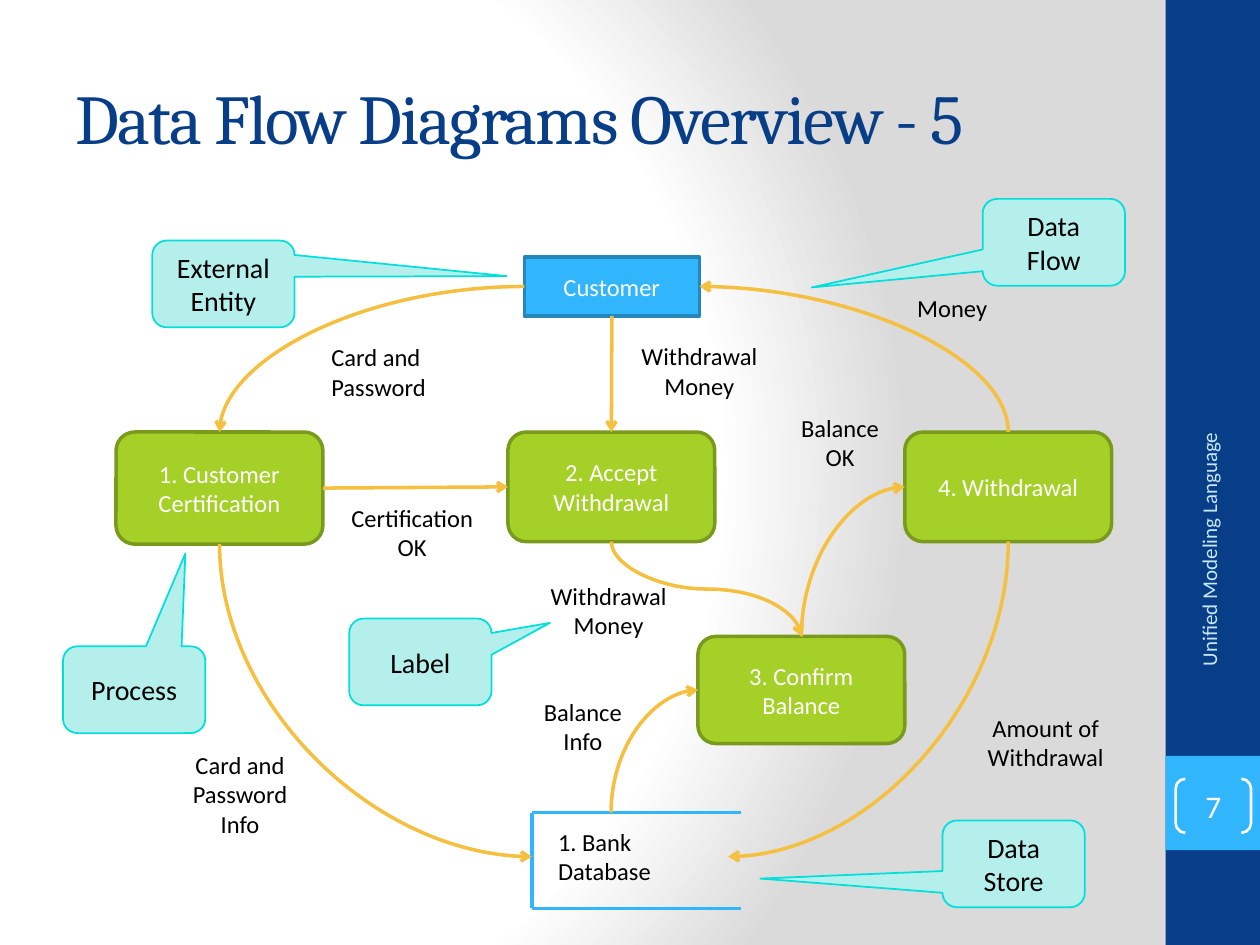
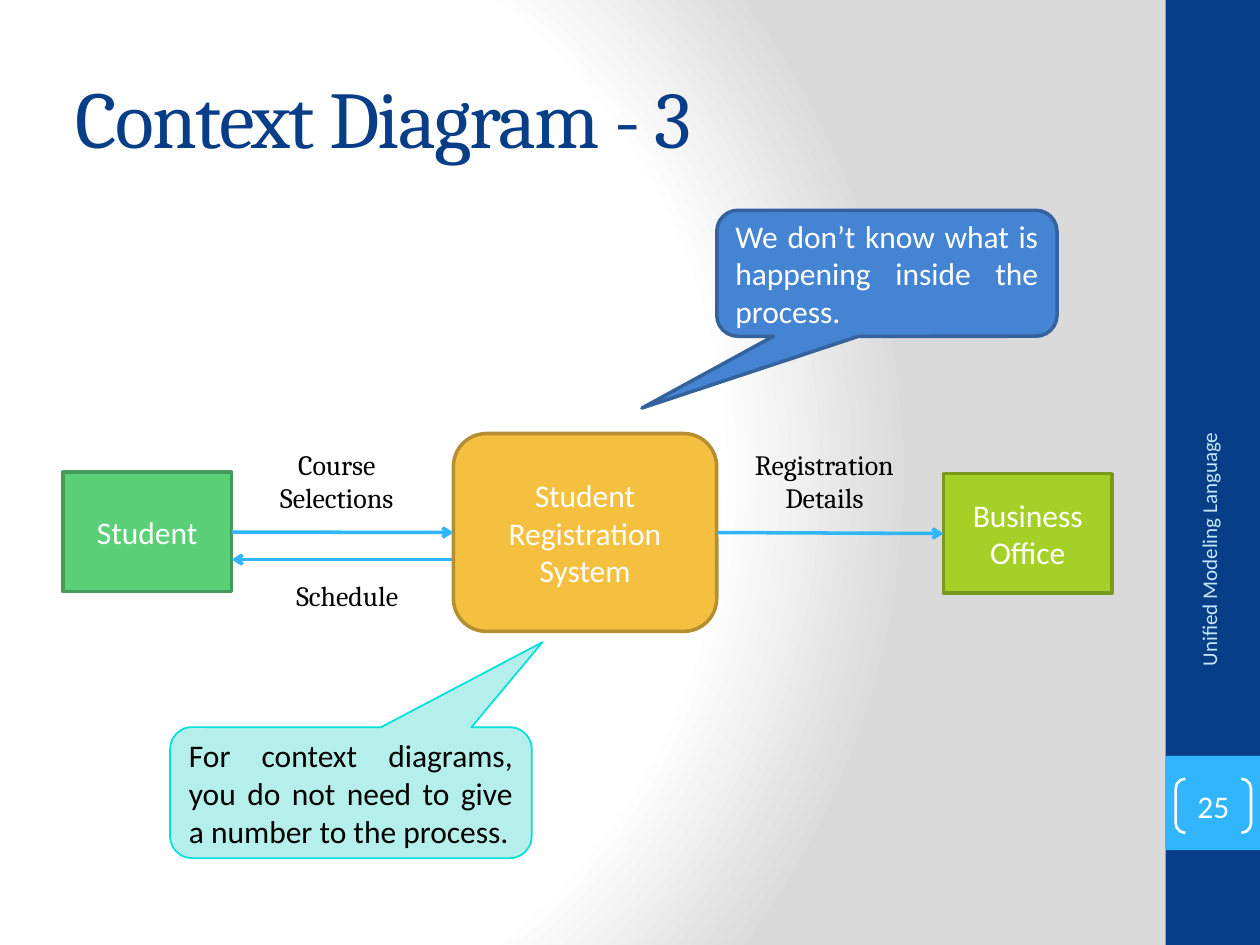
from dataclasses import dataclass

from lxml import etree
from pptx import Presentation
from pptx import util as u
from pptx.dml import color
from pptx.enum import shapes, text
from pptx.oxml import ns, parse_xml

SHAPE = shapes.MSO_SHAPE
CONNECTOR = shapes.MSO_CONNECTOR
ALIGN = text.PP_ALIGN
TOP, LEFT, BOTTOM, RIGHT = range(4)


@dataclass(frozen=True)
class Theme:
    navy: str = "073E87"
    sky: str = "31B6FD"
    sky_edge: str = "2487BB"
    pale: str = "C6E7FC"
    lime: str = "A5D028"
    lime_edge: str = "7A9A1E"
    green: str = "5BD078"
    green_edge: str = "439A59"
    amber: str = "F5C040"
    amber_edge: str = "B58E2F"
    aqua: str = "B4EFEC"
    aqua_edge: str = "00E0DB"
    blue: str = "4584D3"
    blue_edge: str = "33629C"
    white: str = "FFFFFF"
    black: str = "000000"
    gray: str = "DADADA"
    heading: str = "Cambria"
    body: str = "Calibri"
    footer: int = 12
    small: int = 14
    medium: int = 16
    large: int = 18
    long_title: int = 40
    title: int = 46


THEME = Theme()


def rgb(value):
    return color.RGBColor.from_string(value)


def cm(*values):
    return [u.Cm(value) for value in values]


def set_values(target, values):
    for name, value in values.items():
        setattr(target, name, value)


def side(shape, index):
    x = {LEFT: 0, RIGHT: 1}.get(index, 0.5)
    y = {TOP: 0, BOTTOM: 1}.get(index, 0.5)
    return int(shape.left + x * shape.width), int(shape.top + y * shape.height)


class Deck:
    def __init__(self, theme):
        self.theme = theme
        self.presentation = Presentation()
        set_values(self.presentation, {"slide_width": u.Cm(25.4), "slide_height": u.Cm(19.05)})
        self.slide = None

    def new_slide(self, title, title_size, number):
        theme = self.theme
        self.slide = self.presentation.slides.add_slide(self.presentation.slide_layouts[6])
        self.background()
        self.shape(SHAPE.RECTANGLE, (23.5, 0, 1.9, 19.05), fill=theme.navy)
        self.shape(SHAPE.RECTANGLE, (23.5, 15.24, 1.9, 1.9), fill=theme.sky)
        heading = self.label(title, (1.27, 0.76, 21.16, 3.18), title_size, ALIGN.LEFT,
                             theme.heading, theme.navy, middle=True)
        run = heading.text_frame.paragraphs[0].runs[0]
        run.font._element.set("spc", "-100")
        footer = self.label("Unified Modeling Language", (21.08, 11.25, 6.58, 1.02),
                            theme.footer, ALIGN.RIGHT, ink=theme.pale, middle=True)
        footer.rotation = 270
        bracket = self.shape(SHAPE.DOUBLE_BRACKET, (23.7, 15.7, 1.52, 1.09), edge=theme.white,
                             weight=1.5, words=number, size=theme.large, adjustments=[0.179])
        set_values(bracket.text_frame, dict.fromkeys(
            ("margin_left", "margin_top", "margin_right", "margin_bottom"), 0))

    def background(self):
        stops = ((0, self.theme.white), (75, self.theme.white), (100, self.theme.gray))
        stop_xml = "".join(f'<a:gs pos="{position * 1000}"><a:srgbClr val="{shade}"/></a:gs>'
                           for position, shade in stops)
        self.slide._element.cSld.insert(0, parse_xml(
            f'<p:bg {ns.nsdecls("p", "a")}><p:bgPr><a:gradFill rotWithShape="1">'
            f'<a:gsLst>{stop_xml}</a:gsLst><a:path path="circle">'
            '<a:fillToRect l="20000" t="50000" r="100000" b="50000"/></a:path>'
            '</a:gradFill><a:effectLst/></p:bgPr></p:bg>'))

    def set_text(self, shape, words, size, align, font, ink, frame_format):
        set_values(shape.text_frame, {"word_wrap": True, **frame_format})
        paragraph = shape.text_frame.paragraphs[0]
        paragraph.alignment = align
        run = paragraph.add_run()
        run.text = words
        set_values(run.font, {"size": u.Pt(size), "name": font})
        run.font.color.rgb = rgb(ink)

    def shape(self, kind, box, fill=None, edge=None, weight=2, words="", size=THEME.small,
              ink=THEME.white, align=ALIGN.CENTER, adjustments=()):
        shape = self.slide.shapes.add_shape(kind, *cm(*box))
        shape.shadow.inherit = False
        if fill:
            shape.fill.solid()
            shape.fill.fore_color.rgb = rgb(fill)
        else:
            shape.fill.background()
        if edge:
            shape.line.color.rgb = rgb(edge)
            shape.line.width = u.Pt(weight)
        else:
            shape.line.fill.background()
        for index, value in enumerate(adjustments):
            shape.adjustments[index] = value
        if words:
            self.set_text(shape, words, size, align, self.theme.body, ink,
                          {"vertical_anchor": text.MSO_ANCHOR.MIDDLE})
        return shape

    def callout(self, words, box, tip, size=THEME.medium, fill=THEME.aqua, edge=THEME.aqua_edge,
                weight=1, ink=THEME.black, align=ALIGN.CENTER):
        return self.shape(SHAPE.ROUNDED_RECTANGULAR_CALLOUT, box, fill, edge, weight, words,
                          size, ink, align, (*tip, 0.167))

    def label(self, words, box, size=THEME.small, align=ALIGN.CENTER, font=THEME.body,
              ink=THEME.black, middle=False):
        label = self.slide.shapes.add_textbox(*cm(*box))
        frame_format = ({"vertical_anchor": text.MSO_ANCHOR.MIDDLE} if middle
                        else {"auto_size": text.MSO_AUTO_SIZE.SHAPE_TO_FIT_TEXT})
        self.set_text(label, words, size, align, font, ink, frame_format)
        return label

    def finish_line(self, connector, ink, arrow):
        connector.line.color.rgb = rgb(ink)
        connector.line.width = u.Pt(2)
        properties = connector._element.spPr
        if arrow:
            outline = properties.find(ns.qn("a:ln"))
            etree.SubElement(outline, ns.qn("a:tailEnd")).set("type", "arrow")
        etree.SubElement(properties, ns.qn("a:effectLst"))

    def line(self, start, end, ink, arrow=False):
        connector = self.slide.shapes.add_connector(CONNECTOR.STRAIGHT, *cm(*start), *cm(*end))
        self.finish_line(connector, ink, arrow)

    def join(self, first, first_side, second, second_side, ink):
        connector = self.slide.shapes.add_connector(
            CONNECTOR.STRAIGHT, *side(first, first_side), *side(second, second_side))
        connector.begin_connect(first, first_side)
        connector.end_connect(second, second_side)
        self.finish_line(connector, ink, True)

    def curve(self, start, end, vertical=True, preset="curvedConnector2"):
        turn = 0
        if vertical:
            run, rise = end[0] - start[0], end[1] - start[1]
            turn = 90 if (rise < 0) == (run > 0) else 270
            sign = 1 if turn == 90 else -1
            middle_x, middle_y = (start[0] + end[0]) / 2, (start[1] + end[1]) / 2
            half_x, half_y = sign * rise / 2, -sign * run / 2
            start = int(middle_x - half_x), int(middle_y - half_y)
            end = int(middle_x + half_x), int(middle_y + half_y)
        connector = self.slide.shapes.add_connector(CONNECTOR.CURVE, *start, *end)
        properties = connector._element.spPr
        properties.find(ns.qn("a:prstGeom")).set("prst", preset)
        if turn:
            properties.find(ns.qn("a:xfrm")).set("rot", str(turn * 60000))
        self.finish_line(connector, self.theme.amber, True)


def data_flow_slide(deck):
    theme = deck.theme
    deck.new_slide("Data Flow Diagrams Overview - 5", theme.long_title, "7")
    customer = deck.shape(SHAPE.RECTANGLE, (10.57, 5.18, 3.53, 1.19), theme.sky, theme.sky_edge,
                          words="Customer")
    certification, accept, withdrawal, confirm = [
        deck.shape(SHAPE.ROUNDED_RECTANGLE, (left, top, 4.17, height), theme.lime,
                   theme.lime_edge, words=words)
        for words, left, top, height in (
            ("1. Customer Certification", 2.34, 8.71, 2.26),
            ("2. Accept Withdrawal", 10.24, 8.71, 2.21),
            ("4. Withdrawal", 18.24, 8.71, 2.21),
            ("3. Confirm Balance", 14.07, 12.83, 2.16))]

    store_left, store_right, store_top, store_bottom = 10.72, 14.94, 16.38, 18.31
    for y in (store_top, store_bottom):
        deck.line((store_left, y), (store_right, y), theme.sky)
    deck.line((store_left, store_bottom), (store_left, store_top), theme.sky)
    deck.label("1. Bank Database", (11, 16.54, 3.68, 1.45), align=ALIGN.LEFT)

    deck.curve(side(customer, LEFT), side(certification, TOP), vertical=False)
    deck.curve(side(withdrawal, TOP), side(customer, RIGHT))
    deck.curve(side(accept, BOTTOM), side(confirm, TOP), preset="curvedConnector3")
    deck.curve(side(confirm, TOP), side(withdrawal, LEFT))
    deck.curve(side(certification, BOTTOM), cm(store_left, 17.27))
    deck.curve(cm(12.32, store_top), side(confirm, LEFT))
    deck.curve(side(withdrawal, BOTTOM), cm(14.68, 17.27))
    deck.join(certification, RIGHT, accept, LEFT, theme.amber)
    deck.join(customer, BOTTOM, accept, TOP, theme.amber)

    for words, left, top, width, height, align in (
            ("Money", 18.24, 5.79, 2.16, 0.86, ALIGN.LEFT),
            ("Balance OK", 15.65, 8.2, 2.57, 1.45, ALIGN.CENTER),
            ("Certification OK", 6.71, 10.01, 3.2, 1.45, ALIGN.CENTER),
            ("Withdrawal Money", 12.5, 6.76, 3.2, 1.45, ALIGN.CENTER),
            ("Card and Password", 6.43, 6.78, 2.9, 1.45, ALIGN.LEFT),
            ("Balance Info", 10.57, 13.92, 2.36, 1.45, ALIGN.CENTER),
            ("Amount of Withdrawal", 19.48, 14.25, 3.2, 1.45, ALIGN.CENTER),
            ("Card and Password Info", 3.38, 14.99, 2.92, 2.06, ALIGN.CENTER),
            ("Withdrawal Money", 10.67, 11.58, 3.2, 1.45, ALIGN.CENTER)):
        deck.label(words, (left, top, width, height), align=align)

    for words, left, top, tip in (
            ("External Entity", 3.07, 4.85, (1.99, -0.09)),
            ("Process", 1.27, 13.03, (0.36, -1.57)),
            ("Data Store", 19, 16.54, (-1.78, 0.17)),
            ("Label", 7.04, 12.47, (0.91, -0.45)),
            ("Data Flow", 19.81, 4.01, (-1.7, 0.52))):
        deck.callout(words, (left, top, 2.87, 1.75), tip)


def context_slide(deck):
    theme = deck.theme
    deck.new_slide("Context Diagram - 3", theme.title, "25")
    student, office, system = [
        deck.shape(kind, box, fill, edge, words=words, size=theme.large)
        for words, kind, box, fill, edge in (
            ("Student", SHAPE.RECTANGLE, (1.27, 9.52, 3.4, 2.41), theme.green, theme.green_edge),
            ("Business Office", SHAPE.RECTANGLE, (19.02, 9.55, 3.4, 2.41), theme.lime,
             theme.lime_edge),
            ("Student Registration System", SHAPE.ROUNDED_RECTANGLE, (9.14, 8.74, 5.31, 3.99),
             theme.amber, theme.amber_edge))]
    deck.join(student, RIGHT, system, LEFT, theme.sky)
    deck.join(system, RIGHT, office, LEFT, theme.sky)
    deck.line((9.12, 11.28), (4.67, 11.28), theme.sky, arrow=True)

    for words, left, top, height in (
            ("Course Selections", 4.95, 8.89, 1.63),
            ("Registration Details", 14.78, 8.89, 1.63),
            ("Schedule", 5.16, 11.53, 0.94)):
        deck.label(words, (left, top, 3.68, height), theme.medium, font=theme.heading)

    deck.callout("We don’t know what is happening inside the process.",
                 (14.45, 4.24, 6.86, 2.54), (-0.72, 1.07), theme.large, theme.blue,
                 theme.blue_edge, 2, theme.white, ALIGN.JUSTIFY)
    deck.callout("For context diagrams, you do not need to give a number to the process.",
                 (3.43, 14.66, 7.29, 2.64), (0.53, -1.15), theme.large, align=ALIGN.JUSTIFY)


def main():
    deck = Deck(THEME)
    data_flow_slide(deck)
    context_slide(deck)
    deck.presentation.save("out.pptx")


if __name__ == "__main__":
    main()
